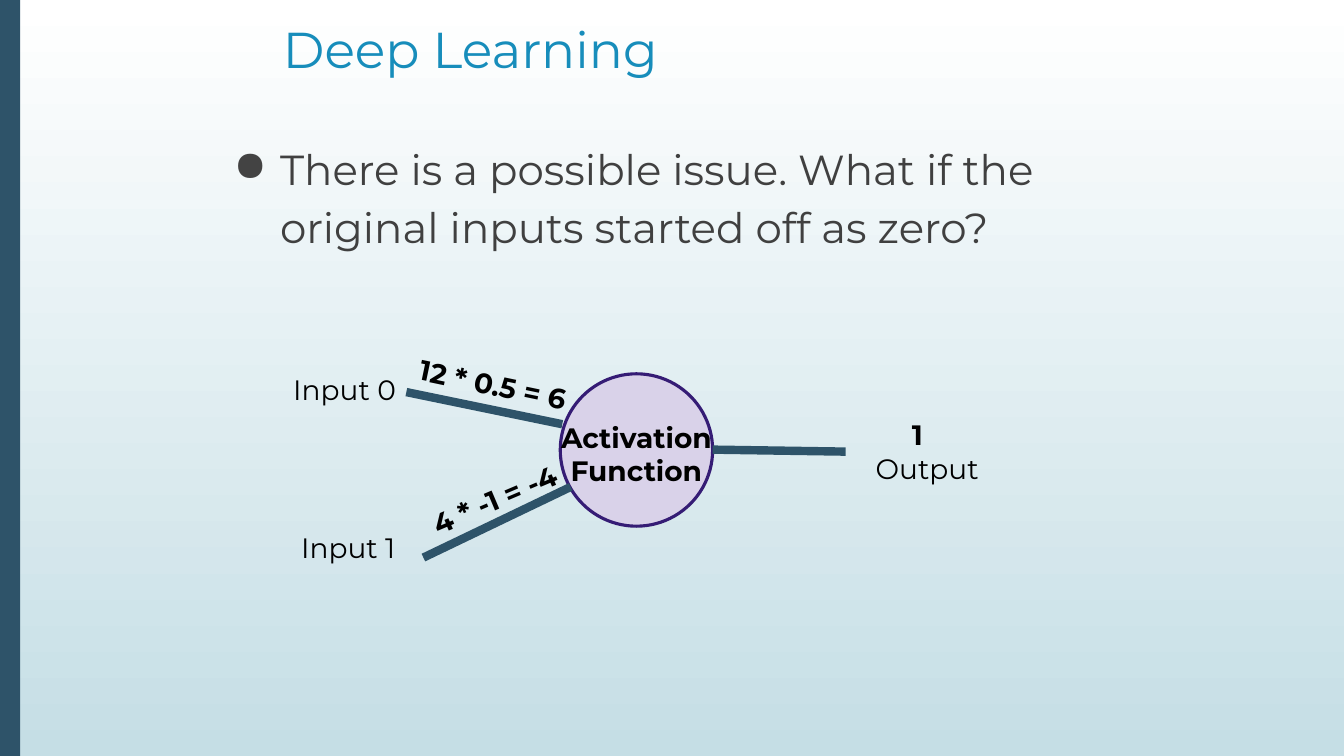
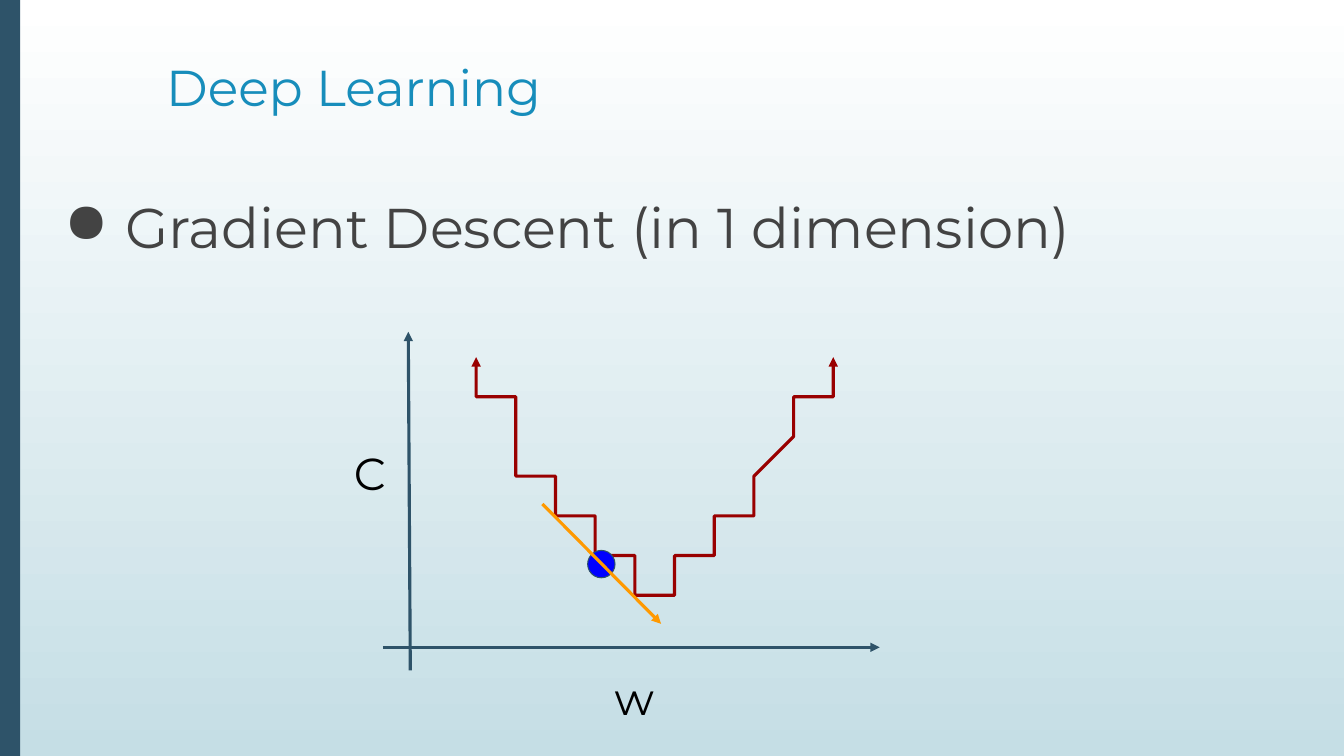
"""Build two deep learning slides: an activation function and gradient descent."""
import pptx
import pptx.dml.color
import pptx.enum.shapes
import pptx.enum.text
import pptx.oxml.ns
import pptx.util
from lxml import etree

Cm = pptx.util.Cm
Pt = pptx.util.Pt
Shape = pptx.enum.shapes.MSO_SHAPE
Align = pptx.enum.text.PP_ALIGN
qn = pptx.oxml.ns.qn

WIDTH, HEIGHT = 33.87, 19.05
FONT = "Montserrat"
COLOURS = {
    "band": "2E5369", "title": "178DBB", "body": "404040", "bullet": "434343",
    "label": "000000", "top": "FFFFFF", "bottom": "C5DEE5", "neuron": "D9D2E9",
    "rim": "351C75", "curve": "990000", "point": "0000FF", "tangent": "FF9900",
}


def colour(name):
    return pptx.dml.color.RGBColor.from_string(COLOURS[name])


def bezier(start, first, second, end, steps=30):
    for step in range(1, steps + 1):
        t = step / steps
        weights = ((1 - t) ** 3, 3 * t * (1 - t) ** 2, 3 * t * t * (1 - t), t ** 3)
        points = (start, first, second, end)
        yield tuple(sum(w * point[axis] for w, point in zip(weights, points))
                    for axis in (0, 1))


def add_bullet(paragraph, indent, hanging):
    properties = paragraph._p.get_or_add_pPr()
    properties.set("marL", str(Cm(indent)))
    properties.set("indent", str(-Cm(hanging)))
    bullet_colour = etree.SubElement(properties, qn("a:buClr"))
    etree.SubElement(bullet_colour, qn("a:srgbClr"), val=COLOURS["bullet"])
    etree.SubElement(properties, qn("a:buChar"), char="●")


class Slides:
    def __init__(self):
        self.deck = pptx.Presentation()
        self.deck.slide_width = Cm(WIDTH)
        self.deck.slide_height = Cm(HEIGHT)
        self.page = None
        self.inset = 0

    def new_page(self, inset):
        self.inset = inset
        self.page = self.deck.slides.add_slide(self.deck.slide_layouts[6])
        fill = self.page.background.fill
        fill.gradient()
        fill.gradient_angle = 270
        for stop, name in zip(fill.gradient_stops, ("top", "bottom")):
            stop.color.rgb = colour(name)
        self.shape(Shape.RECTANGLE, 0, 0, 0.51, HEIGHT, "band")

    def text(self, text, left, top, width, height, size=20, ink="label",
             bold=False, align=Align.LEFT, turn=0, spacing=None, hanging=None):
        box = self.page.shapes.add_textbox(Cm(left), Cm(top), Cm(width), Cm(height))
        box.rotation = turn
        frame = box.text_frame
        frame.word_wrap = True
        frame.margin_left = frame.margin_right = Cm(self.inset)
        frame.margin_top = frame.margin_bottom = Cm(self.inset)
        frame.text = text
        for paragraph in frame.paragraphs:
            if hanging:
                add_bullet(paragraph, 1.7, hanging)
            paragraph.alignment = align
            paragraph.line_spacing = spacing
            for span in paragraph.runs:
                span.font.name = FONT
                span.font.size = Pt(size)
                span.font.bold = bold
                span.font.color.rgb = colour(ink)

    def title(self, text, left, top, width, height):
        self.text(text, left, top, width, height, size=36, ink="title")

    def body(self, text, left, top, width, height, size, ink, hanging):
        self.text(text, left, top, width, height, size=size, ink=ink,
                  spacing=1.15, hanging=hanging)

    def shape(self, kind, left, top, width, height, fill, rim=None, weight=0):
        shape = self.page.shapes.add_shape(kind, Cm(left), Cm(top), Cm(width), Cm(height))
        shape.shadow.inherit = False
        shape.fill.solid()
        shape.fill.fore_color.rgb = colour(fill)
        if rim:
            self.stroke(shape, rim, weight)
        else:
            shape.line.fill.background()

    def stroke(self, shape, ink, weight, arrows=()):
        shape.line.color.rgb = colour(ink)
        shape.line.width = Pt(weight)
        for end in arrows:
            etree.SubElement(shape.line._get_or_add_ln(), qn(f"a:{end}"), type="triangle")

    def line(self, start, end, ink="band", weight=2.25, arrows=("tailEnd",)):
        line = self.page.shapes.add_connector(
            pptx.enum.shapes.MSO_CONNECTOR.STRAIGHT, *map(Cm, start + end))
        self.stroke(line, ink, weight, arrows)
        etree.SubElement(line._element.spPr, qn("a:effectLst"))

    def curve(self, start, pieces, ink, weight):
        points = [start]
        for piece in pieces:
            points.extend(bezier(points[-1], *piece))
        builder = self.page.shapes.build_freeform(*start, scale=Cm(1))
        builder.add_line_segments(points[1:], close=False)
        curve = builder.convert_to_shape()
        curve.shadow.inherit = False
        curve.fill.background()
        self.stroke(curve, ink, weight, ("headEnd", "tailEnd"))


def activation_page(slides):
    slides.new_page(inset=0.25)
    slides.title("Deep Learning", 6.88, 0.2, 21.64, 1.6)
    slides.body("There is a possible issue. What if the original inputs started off as zero?",
                5.11, 3.18, 23.67, 11.84, size=30, ink="body", hanging=1.17)
    slides.shape(Shape.OVAL, 14.12, 9.42, 3.84, 3.84, "neuron", "rim", 2.25)
    for start, end in (((14.17, 10.69), (10.24, 9.88)),
                       ((14.38, 12.27), (10.67, 14.05)),
                       ((21.31, 11.38), (17.96, 11.33))):
        slides.line(start, end, weight=6, arrows=())
    for label, left, top in (("Input 0", 7.14, 9.14), ("Input 1", 7.34, 13.11),
                             ("Output", 21.82, 11.13)):
        slides.text(label, left, top, 5.79, 1.7)
    slides.text("Activation\nFunction", 13.84, 10.34, 4.4, 1.7, bold=True, align=Align.CENTER)
    for label, left, top, width, turn in (("12 * 0.5 = 6", 10.26, 9.04, 4.6, 11.8),
                                          ("4 * -1 = -4", 10.59, 11.71, 4.72, 337),
                                          ("1", 22.73, 10.26, 3.33, 0)):
        slides.text(label, left, top, width, 1.7, bold=True, turn=turn)


def descent_page(slides):
    slides.new_page(inset=0.33)
    slides.title("Deep Learning", 3.86, 1.09, 28.85, 2.13)
    slides.body("Gradient Descent (in 1 dimension)", 1.14, 4.27, 31.55, 12.65,
                size=40, ink="bullet", hanging=1.55)
    slides.line((10.34, 16.89), (10.29, 8.36))
    slides.line((9.65, 16.31), (22.17, 16.31))
    slides.text("w", 15.16, 16.56, 2.24, 1.55, size=32)
    slides.text("C", 8.59, 10.9, 1.42, 1.55, size=32)
    slides.curve((11.68, 8.69),
                 (((12.45, 9.7), (14.63, 14.73), (16.26, 14.71)),
                  ((17.88, 14.66), (20.6, 9.53), (21.46, 8.51))), "curve", 2.25)
    slides.shape(Shape.OVAL, 14.81, 13.87, 0.69, 0.69, "point", "band", 0.75)
    slides.line((13.67, 12.7), (16.66, 15.72), ink="tangent")


def main():
    slides = Slides()
    activation_page(slides)
    descent_page(slides)
    slides.deck.save("out.pptx")


if __name__ == "__main__":
    main()
